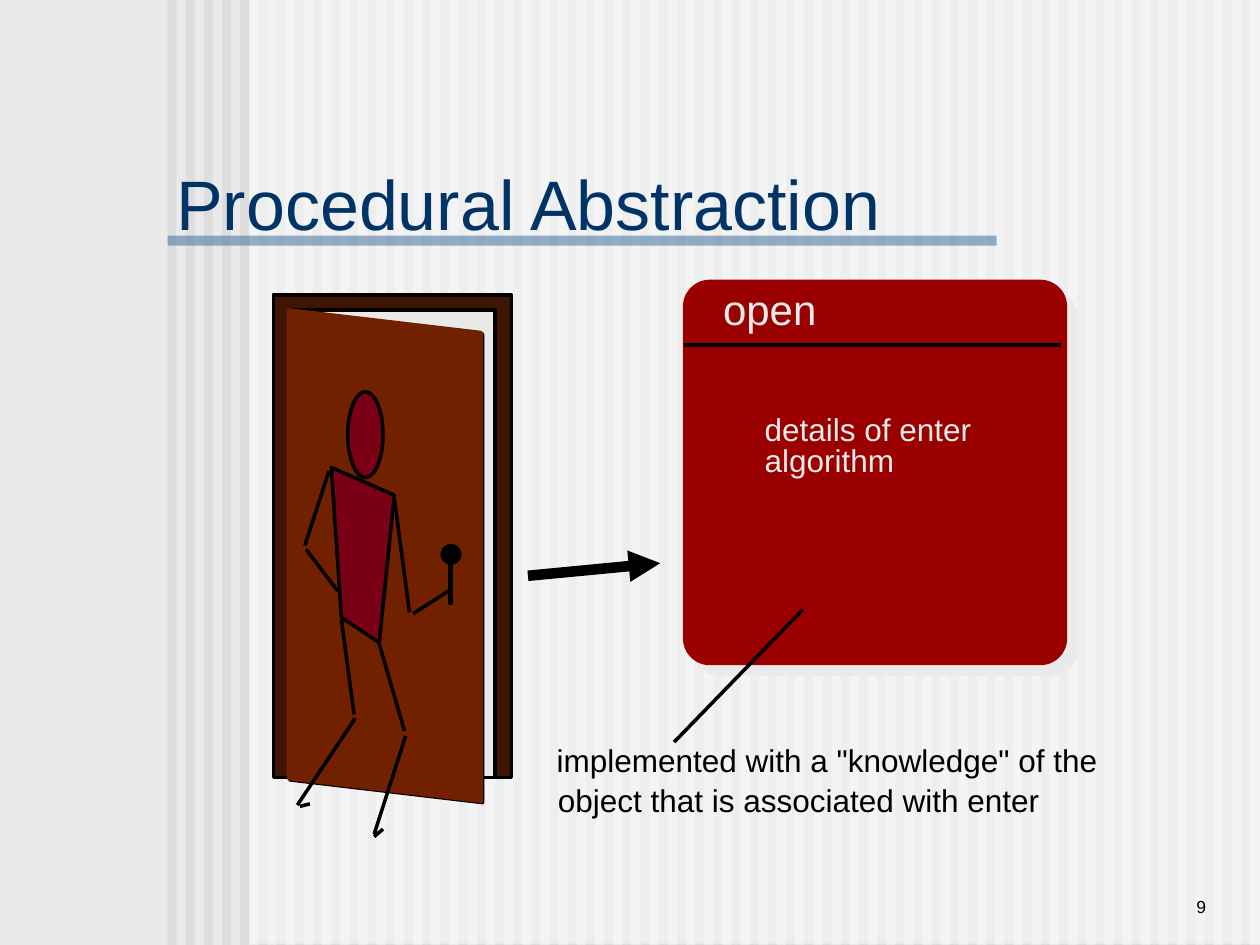
from lxml import etree
from pptx import Presentation
from pptx.dml.color import RGBColor
from pptx.enum.shapes import MSO_CONNECTOR as CONN, MSO_SHAPE as SHAPE
from pptx.enum.text import MSO_ANCHOR as ANCHOR, PP_ALIGN as ALIGN
from pptx.oxml import parse_xml
from pptx.oxml.ns import nsdecls, qn
from pptx.util import Inches, Pt

COLORS = {
    "background": "EAEAEA", "stripe": "DDDDDD", "white": "FFFFFF",
    "rule": "336699", "title": "003366", "black": "000000",
    "frame": "3E1403", "door": "712000", "person": "790015",
    "card": "9A0000", "light": "EAEAEA",
}


class SlideBuilder:
    font = "Arial"
    line_width = 2

    def __init__(self, s):
        self.s = s
        s.background.fill.solid()
        s.background.fill.fore_color.rgb = self.color("background")

    def color(self, name):
        return RGBColor.from_string(COLORS[name])

    def style(self, sp, fill=None, line=None, alpha=None):
        sp.shadow.inherit = False
        if fill:
            sp.fill.solid()
            sp.fill.fore_color.rgb = self.color(fill)
            if alpha:
                clr = sp.fill._xPr.find(qn("a:solidFill"))[0]
                etree.SubElement(clr, qn("a:alpha"), val=str(alpha * 1000))
        else:
            sp.fill.background()
        if line:
            sp.line.color.rgb = self.color(line)
            sp.line.width = Pt(self.line_width)
        else:
            sp.line.fill.background()
        return sp

    def shape(self, kind, box, **style):
        sp = self.s.shapes.add_shape(kind, *map(Inches, box))
        return self.style(sp, **style)

    def polygon(self, points, **style):
        pts = [(Inches(x), Inches(y)) for x, y in points]
        builder = self.s.shapes.build_freeform(*pts[0], scale=1.0)
        builder.add_line_segments(pts[1:], close=True)
        return self.style(builder.convert_to_shape(), **style)

    def line(self, start, end, width=line_width, arrow=False):
        ends = map(Inches, (*start, *end))
        cn = self.s.shapes.add_connector(CONN.STRAIGHT, *ends)
        cn.line.color.rgb = self.color("black")
        cn.line.width = Pt(width)
        if arrow:
            ln = cn.line._get_or_add_ln()
            etree.SubElement(ln, qn("a:tailEnd"), type="triangle")
        etree.SubElement(cn._element.spPr, qn("a:effectLst"))

    def text(self, text, box, size, color, align=ALIGN.LEFT, inset=(0.1, 0.05)):
        tf = self.s.shapes.add_textbox(*map(Inches, box)).text_frame
        tf.word_wrap = True
        tf.vertical_anchor = ANCHOR.BOTTOM
        tf.margin_left = tf.margin_right = Inches(inset[0])
        tf.margin_top = tf.margin_bottom = Inches(inset[1])
        p = tf.paragraphs[0]
        p.alignment = align
        r = p.add_run()
        r.text = text
        r.font.name = self.font
        r.font.size = Pt(size)
        r.font.color.rgb = self.color(color)

    def card(self, box, radius, fill, shadow):
        sp = self.shape(SHAPE.ROUNDED_RECTANGLE, box, fill=fill)
        sp.adjustments[0] = radius
        effects = sp._element.spPr.find(qn("a:effectLst"))
        effects.append(parse_xml(
            f'<a:outerShdw {nsdecls("a")} dist="{Pt(8.5)}" dir="2700000" '
            f'algn="ctr" rotWithShape="0"><a:srgbClr val="{COLORS[shadow]}"/>'
            '</a:outerShdw>'))


prs = Presentation()
prs.slide_width, prs.slide_height = Inches(10), Inches(7.5)
b = SlideBuilder(prs.slides.add_slide(prs.slide_layouts[6]))

# Striped background, lightened right of the margin
STRIPES, FIRST, LAST = 60, 1.33, 9.85
for i in range(STRIPES):
    x = FIRST + i * (LAST - FIRST) / (STRIPES - 1)
    b.shape(SHAPE.RECTANGLE, (x, 0, 0.07, 7.5), fill="stripe")
b.shape(SHAPE.RECTANGLE, (1.98, -0.01, 8.02, 7.5), fill="white", alpha=50)

# Title and rule
b.shape(SHAPE.RECTANGLE, (1.33, 1.87, 6.58, 0.08), fill="rule", alpha=50)
b.text("Procedural Abstraction", (1.33, 1.25, 5.9, 0.72), 40, "title",
       inset=(0.07, 0.03))

# Arrow from door to procedure
b.line((4.19, 4.57), (5.24, 4.47), width=6, arrow=True)

# Door frame, opening and open door
b.shape(SHAPE.RECTANGLE, (2.17, 2.34, 1.89, 3.83), fill="frame", line="black")
b.shape(SHAPE.RECTANGLE, (2.29, 2.46, 1.64, 3.71), fill="light", line="black")
door = [(2.29, 2.46), (3.82, 2.64), (3.82, 6.36), (2.29, 6.18)]
b.polygon([(x + 0.01, y + 0.01) for x, y in door], line="black")
b.polygon(door, fill="door", line="door")

# Door handle
b.shape(SHAPE.OVAL, (3.51, 4.33, 0.14, 0.14), fill="black", line="black")
b.shape(SHAPE.RECTANGLE, (3.57, 4.46, 0.01, 0.33), fill="black", line="black")

# Person: head, body, then limbs
b.shape(SHAPE.OVAL, (2.76, 3.11, 0.28, 0.68), fill="person", line="black")
b.polygon([(2.63, 3.71), (3.13, 3.93), (3.01, 5.1), (2.71, 4.9)],
          fill="person", line="black")
limbs = [
    ((3.13, 3.96), (3.25, 4.86)), ((3.28, 4.87), (3.56, 4.69)),
    ((2.61, 3.74), (2.42, 4.33)), ((2.43, 4.36), (2.68, 4.69)),
    ((3.01, 5.11), (3.21, 5.8)), ((3.22, 5.84), (2.97, 6.62)),
    ((2.97, 6.64), (3.04, 6.58)),
    ((2.71, 4.92), (2.81, 5.67)), ((2.82, 5.7), (2.36, 6.39)),
    ((2.38, 6.4), (2.46, 6.38)),
]
for start, end in limbs:
    b.line(start, end)

# Procedure card
b.card((5.42, 2.22, 3.05, 3.06), 0.07, "card", "light")
b.line((5.43, 2.74), (8.42, 2.74))
b.text("open", (5.64, 2.2, 1.1, 0.5), 24, "light")

# Callout line and 18 pt notes
b.line((6.37, 4.84), (5.35, 5.89))
notes = [
    ('implemented with a "knowledge" of the', 4.32, 5.83, 4.7, "black"),
    ("object that is associated with enter", 4.33, 6.15, 4.2, "black"),
    ("details of enter", 5.97, 3.2, 2, "light"),
    ("algorithm", 5.97, 3.45, 1.4, "light"),
]
for note, x, y, width, color in notes:
    b.text(note, (x, y, width, 0.4), 18, color)

# Slide number
b.text("9", (8.25, 6.83, 1.42, 0.5), 10, "black", align=ALIGN.RIGHT)

prs.save("out.pptx")
